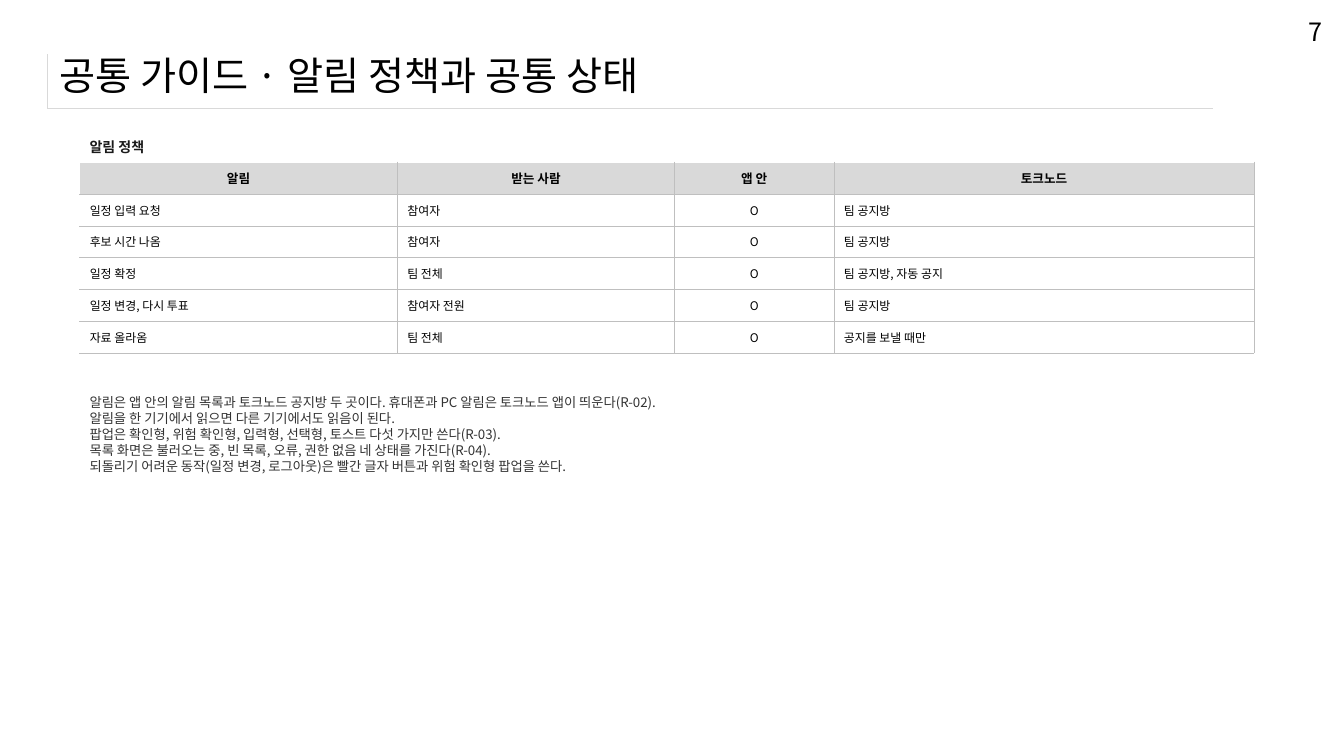
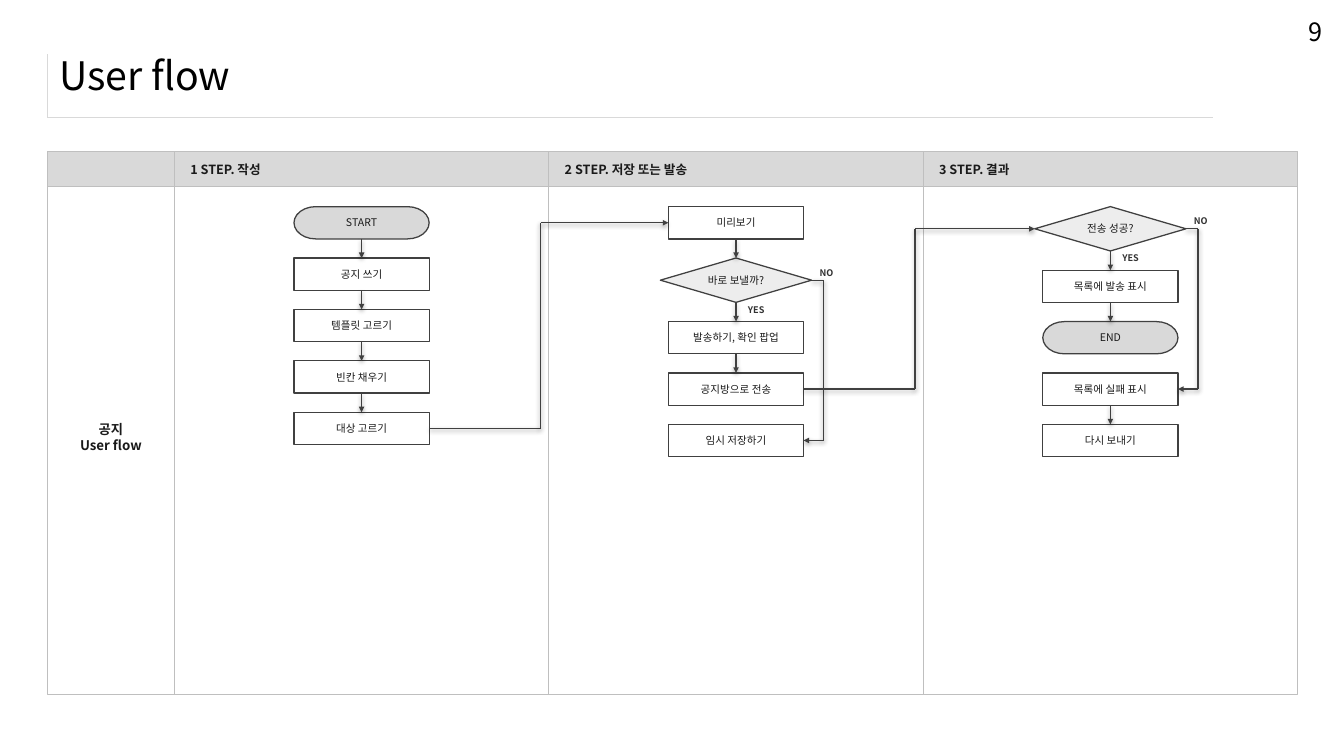
import lxml.etree
import pptx
import pptx.dml.color
import pptx.enum.shapes
import pptx.enum.text
import pptx.oxml.ns
import pptx.util

Inches = pptx.util.Inches
Pt = pptx.util.Pt
qn = pptx.oxml.ns.qn
SHAPE = pptx.enum.shapes.MSO_SHAPE
LEFT = pptx.enum.text.PP_ALIGN.LEFT
CENTER = pptx.enum.text.PP_ALIGN.CENTER
MIDDLE = pptx.enum.text.MSO_ANCHOR.MIDDLE
FONT = "Noto Sans CJK KR"
COLOURS = {
    "black": "000000",
    "ink": "1A1A1A",
    "body": "333333",
    "stroke": "404040",
    "border": "BFBFBF",
    "band": "D9D9D9",
    "decision": "EDEDED",
    "white": "FFFFFF",
}
RGB = {name: pptx.dml.color.RGBColor.from_string(value) for name, value in COLOURS.items()}


def write(text_frame, lines, size, colour="ink", bold=False, align=LEFT):
    text_frame.word_wrap = True
    for index, line in enumerate(lines):
        paragraph = text_frame.paragraphs[0] if index == 0 else text_frame.add_paragraph()
        paragraph.text = line
        paragraph.alignment = align
        font = paragraph.font
        font.size = Pt(size)
        font.bold = bold
        font.color.rgb = RGB[colour]
        font.name = FONT
        properties = paragraph._p.pPr.find(qn("a:defRPr"))
        properties.set("kern", "0")
        lxml.etree.SubElement(properties, qn("a:ea"), typeface=FONT)


def set_borders(cell, left, right, top, bottom):
    cell_properties = cell._tc.get_or_add_tcPr()
    for side, border in [("lnL", left), ("lnR", right), ("lnT", top), ("lnB", bottom)]:
        colour, width = border or (None, 0)
        line = lxml.etree.SubElement(cell_properties, qn("a:" + side), w=str(Pt(width)))
        if colour:
            fill = lxml.etree.SubElement(line, qn("a:solidFill"))
            lxml.etree.SubElement(fill, qn("a:srgbClr"), val=COLOURS[colour])
        else:
            lxml.etree.SubElement(line, qn("a:noFill"))


presentation = pptx.Presentation()
presentation.slide_width = Inches(13.33)
presentation.slide_height = Inches(7.5)

slides = []
title_rule = ("band", 0.25)
for title, page, frame_height in [
    ("공통 가이드 · 알림 정책과 공통 상태", "7", 0.53),
    ("User flow", "9", 0.62),
]:
    slide = presentation.slides.add_slide(presentation.slide_layouts[6])
    slides.append(slide)
    title_frame = slide.shapes.add_table(
        1, 1, Inches(0.47), Inches(0.54), Inches(11.56), Inches(frame_height)
    ).table
    title_frame.first_row = False
    title_frame.horz_banding = False
    frame_cell = title_frame.cell(0, 0)
    set_borders(frame_cell, title_rule, None, None, title_rule)
    frame_cell.fill.background()
    title_box = slide.shapes.add_textbox(Inches(0.49), Inches(0.41), Inches(12.49), Inches(0.67))
    title_box.text_frame.vertical_anchor = MIDDLE
    write(title_box.text_frame, [title], 28, "black")
    page_box = slide.shapes.add_textbox(Inches(12.88), Inches(0.11), Inches(0.37), Inches(0.25))
    write(page_box.text_frame, [page], 18, "black")

policy_slide, flow_slide = slides

heading = policy_slide.shapes.add_textbox(Inches(0.79), Inches(1.33), Inches(5.91), Inches(0.24))
write(heading.text_frame, ["알림 정책"], 10, bold=True)

policy_rows = [
    ["알림", "받는 사람", "앱 안", "토크노드"],
    ["일정 입력 요청", "참여자", "O", "팀 공지방"],
    ["후보 시간 나옴", "참여자", "O", "팀 공지방"],
    ["일정 확정", "팀 전체", "O", "팀 공지방, 자동 공지"],
    ["일정 변경, 다시 투표", "참여자 전원", "O", "팀 공지방"],
    ["자료 올라옴", "팀 전체", "O", "공지를 보낼 때만"],
]
table = policy_slide.shapes.add_table(
    len(policy_rows), 4, Inches(0.79), Inches(1.61), Inches(11.65), Inches(1.89)
).table
table.first_row = False
table.horz_banding = False
for column, width in zip(table.columns, [3.15, 2.75, 1.58, 4.17]):
    column.width = Inches(width)

inner_border, outer_border = ("border", 0.25), ("white", 1)
for row_index, row in enumerate(policy_rows):
    is_header = row_index == 0
    for column_index, text in enumerate(row):
        cell = table.cell(row_index, column_index)
        cell.vertical_anchor = MIDDLE
        left_border = outer_border if column_index == 0 else inner_border
        top_border = outer_border if is_header else inner_border
        set_borders(cell, left_border, inner_border, top_border, inner_border)
        if is_header:
            cell.fill.solid()
            cell.fill.fore_color.rgb = RGB["band"]
        else:
            cell.fill.background()
        align = CENTER if is_header or column_index == 2 else LEFT
        write(cell.text_frame, [text], 9 if is_header else 8.5, "black", is_header, align)

policy_notes = [
    "알림은 앱 안의 알림 목록과 토크노드 공지방 두 곳이다. 휴대폰과 PC 알림은 토크노드 앱이 띄운다(R-02).",
    "알림을 한 기기에서 읽으면 다른 기기에서도 읽음이 된다.",
    "팝업은 확인형, 위험 확인형, 입력형, 선택형, 토스트 다섯 가지만 쓴다(R-03).",
    "목록 화면은 불러오는 중, 빈 목록, 오류, 권한 없음 네 상태를 가진다(R-04).",
    "되돌리기 어려운 동작(일정 변경, 로그아웃)은 빨간 글자 버튼과 위험 확인형 팝업을 쓴다.",
]
notes_box = policy_slide.shapes.add_textbox(Inches(0.79), Inches(3.86), Inches(11.65), Inches(1.57))
write(notes_box.text_frame, policy_notes, 9.5, "body")

lane_left, lane_width = 1.73, 11.14 / 3
lane_lefts = [lane_left + index * lane_width for index in range(3)]
grid_columns = [(0.47, 1.26)] + [(left, lane_width) for left in lane_lefts]
for left, width in grid_columns:
    for top, height, is_band in [(1.5, 0.35, True), (1.85, 5.04, False)]:
        shape = flow_slide.shapes.add_shape(
            SHAPE.RECTANGLE, Inches(left), Inches(top), Inches(width), Inches(height)
        )
        shape.shadow.inherit = False
        shape.line.color.rgb = RGB["border"]
        shape.line.width = Pt(0.75)
        if is_band:
            shape.fill.solid()
            shape.fill.fore_color.rgb = RGB["band"]
        else:
            shape.fill.background()

row_title = flow_slide.shapes.add_textbox(Inches(0.51), Inches(4.13), Inches(1.18), Inches(0.47))
write(row_title.text_frame, ["공지", "User flow"], 9.5, bold=True, align=CENTER)

node_styles = {
    "terminator": (SHAPE.FLOWCHART_TERMINATOR, "band", 1.34, 0.32),
    "process": (SHAPE.FLOWCHART_PROCESS, "white", 1.34, 0.32),
    "decision": (SHAPE.FLOWCHART_DECISION, "decision", 1.5, 0.44),
}
lanes = [
    ("1 STEP. 작성", [
        ("terminator", "START"),
        ("process", "공지 쓰기"),
        ("process", "템플릿 고르기"),
        ("process", "빈칸 채우기"),
        ("process", "대상 고르기"),
    ]),
    ("2 STEP. 저장 또는 발송", [
        ("process", "미리보기"),
        ("decision", "바로 보낼까?"),
        ("process", "발송하기, 확인 팝업"),
        ("process", "공지방으로 전송"),
        ("process", "임시 저장하기"),
    ]),
    ("3 STEP. 결과", [
        ("decision", "전송 성공?"),
        ("process", "목록에 발송 표시"),
        ("terminator", "END"),
        ("process", "목록에 실패 표시"),
        ("process", "다시 보내기"),
    ]),
]
node_gap = 0.19
no_branches = {"바로 보낼까?": "임시 저장하기", "전송 성공?": "목록에 실패 표시"}
lane_exits = [("대상 고르기", "미리보기"), ("공지방으로 전송", "전송 성공?")]
positions = {}
arrow_paths = []

for left, (lane_title, nodes) in zip(lane_lefts, lanes):
    lane_box = flow_slide.shapes.add_textbox(
        Inches(left + 0.06), Inches(1.56), Inches(3.6), Inches(0.24)
    )
    write(lane_box.text_frame, [lane_title], 9, bold=True)
    center = left + lane_width / 2
    top = 2.05
    for index, (kind, text) in enumerate(nodes):
        preset, fill_colour, width, height = node_styles[kind]
        node_left, node_right = center - width / 2, center + width / 2
        bottom = top + height
        shape = flow_slide.shapes.add_shape(
            preset, Inches(node_left), Inches(top), Inches(width), Inches(height)
        )
        shape.shadow.inherit = False
        shape.fill.solid()
        shape.fill.fore_color.rgb = RGB[fill_colour]
        shape.line.color.rgb = RGB["stroke"]
        shape.line.width = Pt(0.9)
        frame = shape.text_frame
        frame.margin_left = frame.margin_right = Inches(0.03)
        frame.margin_top = frame.margin_bottom = Inches(0.01)
        frame.vertical_anchor = MIDDLE
        write(frame, [text], 7.5, align=CENTER)
        positions[text] = (node_left, node_right, top + height / 2)
        if index > 0 and text not in no_branches.values():
            arrow_paths.append([(center, top - node_gap), (center, top)])
        if kind == "decision":
            for answer, label_left, label_top in [
                ("YES", center + 0.02, bottom - 0.03),
                ("NO", node_right - 0.02, top + 0.04),
            ]:
                label = flow_slide.shapes.add_textbox(
                    Inches(label_left), Inches(label_top), Inches(0.39), Inches(0.16)
                )
                write(label.text_frame, [answer], 6.5, "body", True)
        top = bottom + node_gap

routes = []
for source, target in no_branches.items():
    routes.append((source, positions[source][1] + 0.12, target, positions[target][1]))
for next_lane_left, (source, target) in zip(lane_lefts[1:], lane_exits):
    routes.append((source, next_lane_left - 0.08, target, positions[target][0]))

for source, bend, target, target_edge in routes:
    source_right, source_middle = positions[source][1:]
    target_middle = positions[target][2]
    arrow_paths.append([
        (source_right, source_middle), (bend, source_middle),
        (bend, target_middle), (target_edge, target_middle),
    ])

for points in arrow_paths:
    for start, end in zip(points, points[1:]):
        connector = flow_slide.shapes.add_connector(
            pptx.enum.shapes.MSO_CONNECTOR.STRAIGHT, *[Inches(value) for value in start + end]
        )
        connector.line.color.rgb = RGB["stroke"]
        connector.line.width = Pt(0.9)
    last_line = connector._element.spPr.find(qn("a:ln"))
    lxml.etree.SubElement(last_line, qn("a:tailEnd"), type="triangle", w="sm", len="sm")

presentation.save("out.pptx")
